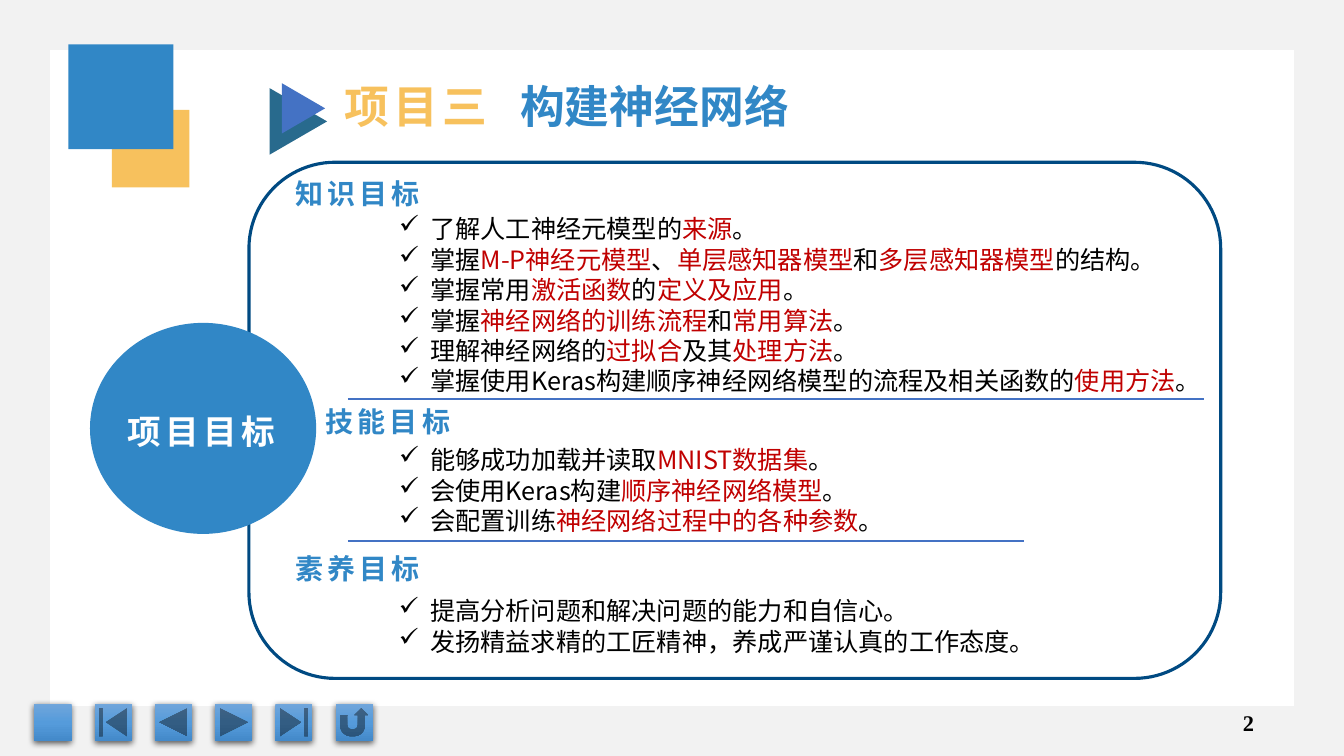
from pptx import Presentation
from pptx.dml.color import RGBColor
from pptx.enum.shapes import MSO_CONNECTOR, MSO_SHAPE
from pptx.enum.text import MSO_ANCHOR, PP_ALIGN
from pptx.oxml import parse_xml
from pptx.oxml.ns import nsdecls, qn
from pptx.util import Inches, Pt

# Grid: square cells of a tenth of an inch
COLUMNS, ROWS = 133.33, 75
CELL = Inches(0.1)

BLUE, YELLOW, RED = "3187C6", "F7C15D", "C00000"
BLACK, WHITE, RULE = "000000", "FFFFFF", "4472C4"
HAN, NARROW = "Noto Sans CJK SC", "Arial Narrow"

BODY = {"size": Pt(18), "name": HAN}
HEADING = {"size": Pt(20), "name": NARROW, "bold": True}
TITLE = {**HEADING, "size": Pt(32)}
BADGE = {**HEADING, "size": Pt(24)}
NUMBER = {"size": Pt(16), "name": "Times New Roman", "bold": True}

# Heading place, list place, and goals; text between bars is red
SECTIONS = [
    ("知识目标", (28.3, 16.7, 17.7, 4.6), (38.6, 20.7, 82.5, 19.2), [
        "了解人工神经元模型的|来源|。",
        "掌握|M-P神经元模型|、|单层感知器模型|和|多层感知器模型|的结构。",
        "掌握常用|激活函数|的|定义及应用|。",
        "掌握|神经网络的训练流程|和|常用算法|。",
        "理解神经网络的|过拟合|及其|处理方法|。",
        "掌握使用Keras构建顺序神经网络模型的流程及相关函数的|使用方法|。",
    ]),
    ("技能目标", (31.3, 39.6, 50, 4.4), (38.6, 43.6, 57.2, 10.1), [
        "能够成功加载并读取|MNIST数据集|。",
        "会使用Keras构建|顺序神经网络模型|。",
        "会配置训练|神经网络过程中的各种参数|。",
    ]),
    ("素养目标", (28.3, 54.1, 17.7, 4.4), (38.6, 58.6, 66.3, 7.1), [
        "提高分析问题和解决问题的能力和自信心。",
        "发扬精益求精的工匠精神，养成严谨认真的工作态度。",
    ]),
]

BUTTONS = [
    MSO_SHAPE.ACTION_BUTTON_CUSTOM,
    MSO_SHAPE.ACTION_BUTTON_BEGINNING,
    MSO_SHAPE.ACTION_BUTTON_BACK_OR_PREVIOUS,
    MSO_SHAPE.ACTION_BUTTON_FORWARD_OR_NEXT,
    MSO_SHAPE.ACTION_BUTTON_END,
    MSO_SHAPE.ACTION_BUTTON_RETURN,
]


def color(value):
    return RGBColor.from_string(value)


def cells(*values):
    return [int(value * CELL) for value in values]


def add_block(page, kind, place, fill=None, line=None, width=1):
    block = page.shapes.add_shape(kind, *cells(*place))
    block.shadow.inherit = False
    if fill:
        block.fill.solid()
        block.fill.fore_color.rgb = color(fill)
    else:
        block.fill.background()
    if line:
        block.line.color.rgb = color(line)
        block.line.width = Pt(width)
    else:
        block.line.fill.background()
    return block


def add_button(page, kind, place):
    button = add_block(page, kind, place, BLUE)
    properties = button._element.spPr
    stops = "".join(
        f'<a:gs pos="{position}"><a:srgbClr val="{shade}"/></a:gs>'
        for position, shade in ((0, "71A6DB"), (50000, "559BDB"), (100000, "448ACA")))
    properties.replace(properties.find(qn("a:solidFill")), parse_xml(
        f'<a:gradFill {nsdecls("a")} rotWithShape="1"><a:gsLst>{stops}</a:gsLst>'
        '<a:lin ang="5400000" scaled="0"/></a:gradFill>'))
    properties.find(qn("a:effectLst")).append(parse_xml(
        f'<a:outerShdw {nsdecls("a")} blurRad="{Pt(4.5)}" dist="{Pt(1.5)}" dir="5400000" '
        'algn="ctr" rotWithShape="0"><a:srgbClr val="000000"><a:alpha val="63000"/>'
        '</a:srgbClr></a:outerShdw>'))


def add_box(page, place, anchor=MSO_ANCHOR.TOP):
    frame = page.shapes.add_textbox(*cells(*place)).text_frame
    frame.word_wrap = True
    frame.vertical_anchor = anchor
    return frame


def add_span(para, text, style, shade, spacing=0):
    span = para.add_run()
    span.text = text
    for key, value in style.items():
        setattr(span.font, key, value)
    span.font.color.rgb = color(shade)
    properties = span.font._element
    if spacing:
        properties.set("spc", str(spacing * 100))
    properties.append(parse_xml(f'<a:ea {nsdecls("a")} typeface="{HAN}"/>'))


def add_label(page, place, text, style, shade, anchor=MSO_ANCHOR.TOP):
    para = add_box(page, place, anchor).paragraphs[0]
    add_span(para, text, style, shade, 3)


def add_goals(page, place, goals):
    frame = add_box(page, place)
    for index, goal in enumerate(goals):
        para = frame.paragraphs[0] if index == 0 else frame.add_paragraph()
        properties = para._p.get_or_add_pPr()
        properties.set("marL", str(Inches(0.31)))
        properties.set("indent", str(-Inches(0.31)))
        properties.append(parse_xml(f'<a:buChar {nsdecls("a")} char="✓"/>'))
        para.alignment = PP_ALIGN.JUSTIFY
        para.line_spacing = Pt(21.7)
        for turn, text in enumerate(goal.split("|")):
            add_span(para, text, BODY, RED if turn % 2 else BLACK)


def add_rule(page, left, right, row):
    rule = page.shapes.add_connector(
        MSO_CONNECTOR.STRAIGHT, *cells(left, row, right, row))
    rule.line.color.rgb = color(RULE)
    rule.line.width = Pt(1.5)
    rule._element.spPr.append(parse_xml(f'<a:effectLst {nsdecls("a")}/>'))


def add_title(page):
    for place, fill in (((26.3, 9.2, 6.6, 5.7), "286A8D"), ((27.6, 8.6, 5, 4.3), RULE)):
        add_block(page, MSO_SHAPE.ISOSCELES_TRIANGLE, place, fill).rotation = 90
    para = add_box(page, (33.2, 7.3, 49.8, 6.4)).paragraphs[0]
    para._p.get_or_add_pPr().append(parse_xml(
        f'<a:tabLst {nsdecls("a")}><a:tab pos="{Inches(1.74)}" algn="l"/></a:tabLst>'))
    add_span(para, "项目三\t", TITLE, YELLOW, 3)
    add_span(para, "构建神经网络", {**TITLE, "name": HAN}, BLUE)


def add_backdrop(page):
    border = add_block(page, MSO_SHAPE.FRAME, (0, 0, COLUMNS, ROWS), "F2F2F2")
    border.adjustments[0] = 0.066
    for index, kind in enumerate(BUTTONS):
        add_button(page, kind, (3.4 + 5.98 * index, 69.8, 3.7, 3.7))
    para = add_box(page, (95.4, 69.7, 30, 4), MSO_ANCHOR.MIDDLE).paragraphs[0]
    para.alignment = PP_ALIGN.RIGHT
    add_span(para, "2", NUMBER, BLACK)


def main():
    deck = Presentation()
    deck.slide_width, deck.slide_height = cells(COLUMNS, ROWS)
    page = deck.slides.add_slide(deck.slide_layouts[6])

    # Border, navigation buttons and page number
    add_backdrop(page)

    # Panel and round badge
    add_block(page, MSO_SHAPE.ROUNDED_RECTANGLE, (24.7, 16.1, 96.4, 51.2),
              line="004A82", width=2.25)
    add_block(page, MSO_SHAPE.OVAL, (9, 32.1, 22.3, 20.8), BLUE, BLUE)
    add_label(page, (11.7, 40.3, 17.2, 5), "项目目标", BADGE, WHITE)

    # Title and corner squares
    add_title(page)
    add_block(page, MSO_SHAPE.RECTANGLE, (11.1, 10.9, 7.7, 7.7), YELLOW)
    add_block(page, MSO_SHAPE.RECTANGLE, (6.8, 4.4, 10.4, 10.4), BLUE)

    # Goals, with rules between the sections
    for heading, heading_place, list_place, goals in SECTIONS:
        add_label(page, heading_place, heading, HEADING, BLUE, MSO_ANCHOR.BOTTOM)
        add_goals(page, list_place, goals)
    add_rule(page, 34.5, 119.4, 39.6)
    add_rule(page, 34.5, 101.6, 53.7)

    deck.save("out.pptx")


if __name__ == "__main__":
    main()
